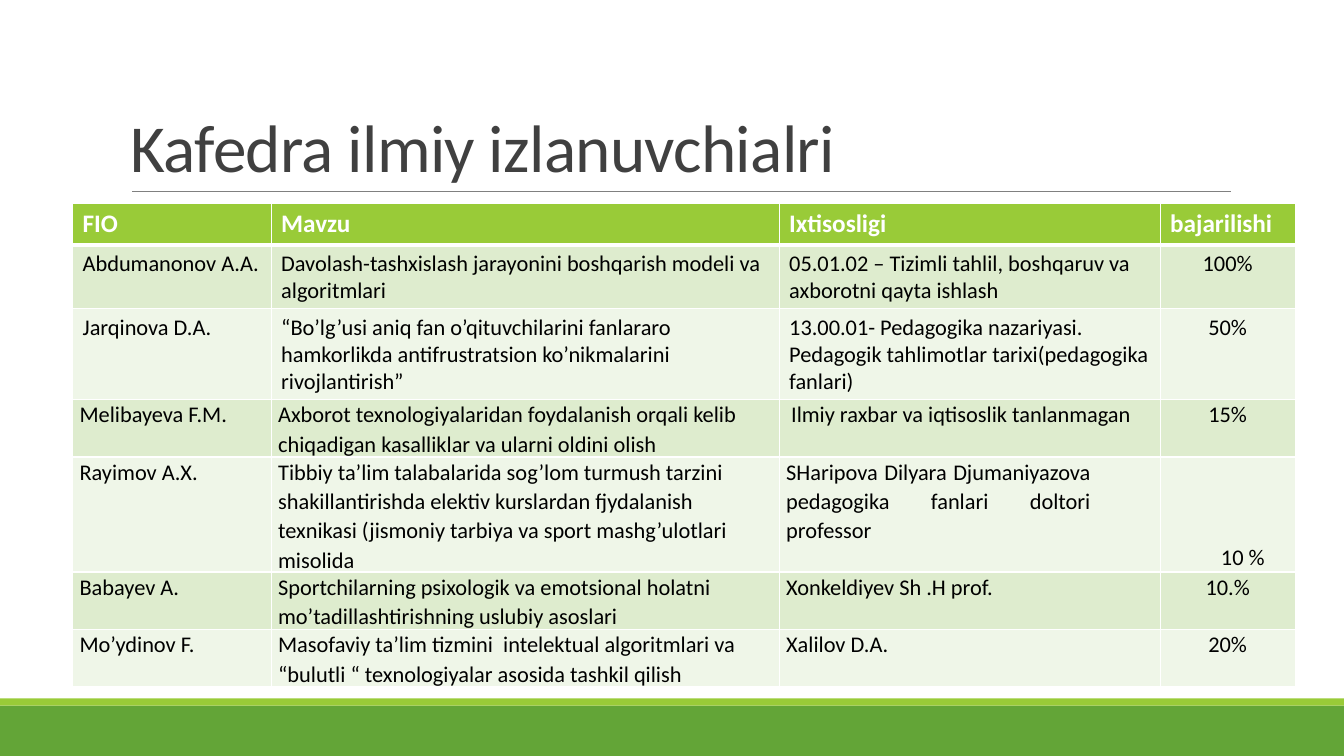
from dataclasses import dataclass
from typing import Optional

from lxml import etree
from pptx import Presentation
from pptx import util as u
from pptx.dml.color import RGBColor
from pptx.enum import shapes, text
from pptx.oxml import ns

# Grid: 40 columns by 30 rows over the whole slide
COLUMN = u.Inches(40 / 3) / 40
ROW = u.Inches(7.5) / 30


@dataclass(frozen=True)
class Theme:
    font: str = "Calibri"
    title_size: float = 48
    header_size: float = 18
    body_size: float = 16
    title: str = "404040"
    header_text: str = "FFFFFF"
    body_text: str = "000000"
    rule: str = "808080"
    border: str = "FFFFFF"
    dark_green: str = "63A537"
    green: str = "99CB38"
    stripes: tuple[str, str] = ("DEECCE", "EFF6E8")


@dataclass(frozen=True)
class Band:
    top: float
    height: float
    color: str


@dataclass(frozen=True)
class Entry:
    """One cell; left and right insets are in grid columns."""
    words: str
    left: Optional[float] = None
    right: Optional[float] = None
    align: Optional[text.PP_ALIGN] = None
    anchor: text.MSO_ANCHOR = text.MSO_ANCHOR.TOP


@dataclass(frozen=True)
class Researcher:
    name: Entry
    topic: Entry
    field: Entry
    progress: Entry
    compact: bool = True


THEME = Theme()
CENTER = text.PP_ALIGN.CENTER
BANDS = (Band(28, 2, THEME.dark_green), Band(27.72, 0.28, THEME.green))
TABLE_LEFT, TABLE_TOP, TABLE_ROW = 2.16, 8.08, 1.64
TABLE_COLUMNS = (5.91, 15.12, 11.34, 4.02)
NORMAL_INSET, COMPACT_INSET = 0.3, 0.21
HEADER = ("FIO", "Mavzu", "Ixtisosligi", "bajarilishi")

RESEARCHERS = (
    Researcher(Entry("Abdumanonov A.A."),
               Entry("Davolash-tashxislash jarayonini boshqarish modeli va algoritmlari"),
               Entry("05.01.02 – Tizimli tahlil, boshqaruv va axborotni qayta ishlash"),
               Entry("100%", align=CENTER), compact=False),
    Researcher(Entry("Jarqinova D.A."),
               Entry("“Bo’lg’usi aniq fan o’qituvchilarini fanlararo hamkorlikda "
                     "antifrustratsion ko’nikmalarini rivojlantirish”"),
               Entry("13.00.01- Pedagogika nazariyasi. Pedagogik tahlimotlar "
                     "tarixi(pedagogika fanlari)"),
               Entry("50%", align=CENTER), compact=False),
    Researcher(Entry("Melibayeva F.M."),
               Entry("Axborot texnologiyalaridan foydalanish orqali kelib chiqadigan "
                     "kasalliklar va ularni oldini olish"),
               Entry("Ilmiy raxbar va iqtisoslik tanlanmagan", left=0.36),
               Entry("15%", align=CENTER)),
    Researcher(Entry("Rayimov A.X."),
               Entry("Tibbiy ta’lim talabalarida sog’lom turmush tarzini shakillantirishda "
                     "elektiv kurslardan fjydalanish texnikasi (jismoniy tarbiya va sport "
                     "mashg’ulotlari misolida"),
               Entry("SHaripova Dilyara Djumaniyazova pedagogika fanlari doltori professor",
                     right=2.07, align=text.PP_ALIGN.JUSTIFY),
               Entry("10 %", left=1.11, align=CENTER, anchor=text.MSO_ANCHOR.BOTTOM)),
    Researcher(Entry("Babayev A."),
               Entry("Sportchilarning psixologik va emotsional holatni "
                     "mo’tadillashtirishning uslubiy asoslari"),
               Entry("Xonkeldiyev Sh .H prof."),
               Entry("10.%", align=CENTER)),
    Researcher(Entry("Mo’ydinov F."),
               Entry("Masofaviy ta’lim tizmini  intelektual algoritmlari va “bulutli “ "
                     "texnologiyalar asosida tashkil qilish"),
               Entry("Xalilov D.A."),
               Entry("20%", align=CENTER)),
)


def across(columns: float) -> int:
    return round(columns * COLUMN)


def down(rows: float) -> int:
    return round(rows * ROW)


def add_span(para, words: str, size: float, color: str, bold: bool = False):
    span = para.add_run()
    span.text = words
    span.font.name = THEME.font
    span.font.size = u.Pt(size)
    span.font.bold = bold
    span.font.color.rgb = RGBColor.from_string(color)
    return span


def draw_band(page, band: Band) -> None:
    box = page.shapes.add_shape(shapes.MSO_SHAPE.RECTANGLE, 0, down(band.top),
                                across(40), down(band.height))
    box.shadow.inherit = False
    box.fill.solid()
    box.fill.fore_color.rgb = RGBColor.from_string(band.color)
    box.line.fill.background()


def draw_title(page, words: str) -> None:
    box = page.shapes.add_textbox(across(3.6), down(1.24), across(33), down(6.36))
    frame = box.text_frame
    frame.word_wrap = True
    frame.vertical_anchor = text.MSO_ANCHOR.BOTTOM
    para = frame.paragraphs[0]
    para.line_spacing = 0.85
    span = add_span(para, words, THEME.title_size, THEME.title)
    span.font._element.set("spc", "-50")


def draw_rule(page) -> None:
    rule = page.shapes.add_connector(shapes.MSO_CONNECTOR.STRAIGHT, across(3.93),
                                     down(7.6), across(36.63), down(7.6))
    rule.line.color.rgb = RGBColor.from_string(THEME.rule)
    rule.line.width = u.Pt(0.5)
    etree.SubElement(rule._element.spPr, ns.qn("a:effectLst"))


def set_borders(cell, top: float = 1, bottom: float = 1) -> None:
    properties = cell._tc.get_or_add_tcPr()
    for side, width in (("L", 1), ("R", 1), ("T", top), ("B", bottom)):
        line = etree.SubElement(properties, ns.qn(f"a:ln{side}"), w=str(u.Pt(width)))
        fill = etree.SubElement(line, ns.qn("a:solidFill"))
        etree.SubElement(fill, ns.qn("a:srgbClr"), val=THEME.border)


def fill_cell(cell, color: str) -> None:
    cell.fill.solid()
    cell.fill.fore_color.rgb = RGBColor.from_string(color)


def write_entry(cell, entry: Entry, compact: bool) -> None:
    inset = COMPACT_INSET if compact else NORMAL_INSET
    cell.margin_left = across(inset if entry.left is None else entry.left)
    cell.margin_right = across(inset if entry.right is None else entry.right)
    cell.vertical_anchor = entry.anchor
    para = cell.text_frame.paragraphs[0]
    para.alignment = entry.align
    if compact:
        cell.margin_top = cell.margin_bottom = 0
        para.line_spacing = 1.07
    add_span(para, entry.words, THEME.body_size, THEME.body_text)


def draw_table(page) -> None:
    count = len(RESEARCHERS) + 1
    table = page.shapes.add_table(count, len(HEADER), across(TABLE_LEFT), down(TABLE_TOP),
                                  across(sum(TABLE_COLUMNS)), down(TABLE_ROW * count)).table
    for column, width in zip(table.columns, TABLE_COLUMNS):
        column.width = across(width)
    # Header row
    for index, words in enumerate(HEADER):
        cell = table.cell(0, index)
        set_borders(cell, bottom=3)
        fill_cell(cell, THEME.green)
        add_span(cell.text_frame.paragraphs[0], words, THEME.header_size,
                 THEME.header_text, bold=True)
    # One row per researcher, in alternating stripes
    for number, person in enumerate(RESEARCHERS, start=1):
        entries = (person.name, person.topic, person.field, person.progress)
        for index, entry in enumerate(entries):
            cell = table.cell(number, index)
            set_borders(cell, top=3 if number == 1 else 1)
            fill_cell(cell, THEME.stripes[(number - 1) % 2])
            write_entry(cell, entry, person.compact)


def main() -> None:
    deck = Presentation()
    deck.slide_width, deck.slide_height = across(40), down(30)
    page = deck.slides.add_slide(deck.slide_layouts[6])
    for band in BANDS:
        draw_band(page, band)
    draw_rule(page)
    draw_title(page, "Kafedra ilmiy izlanuvchialri")
    draw_table(page)
    deck.save("out.pptx")


if __name__ == "__main__":
    main()
